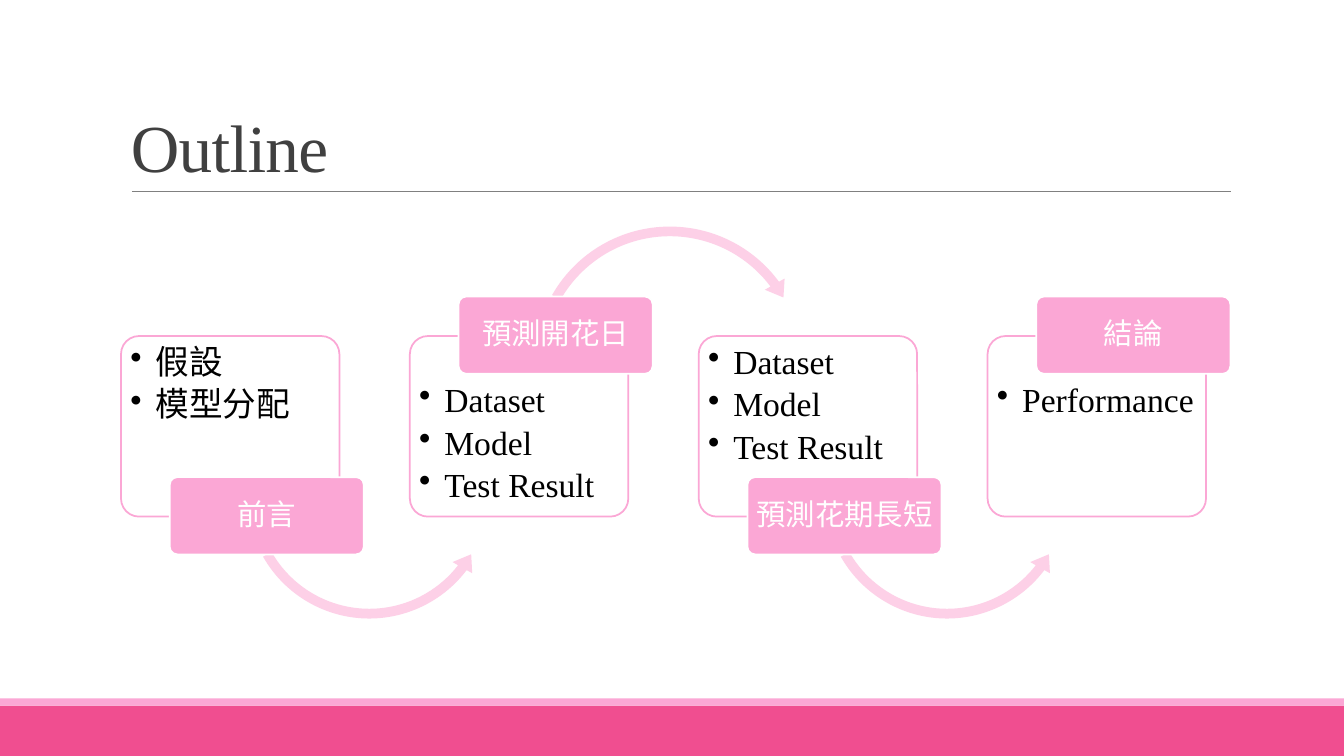
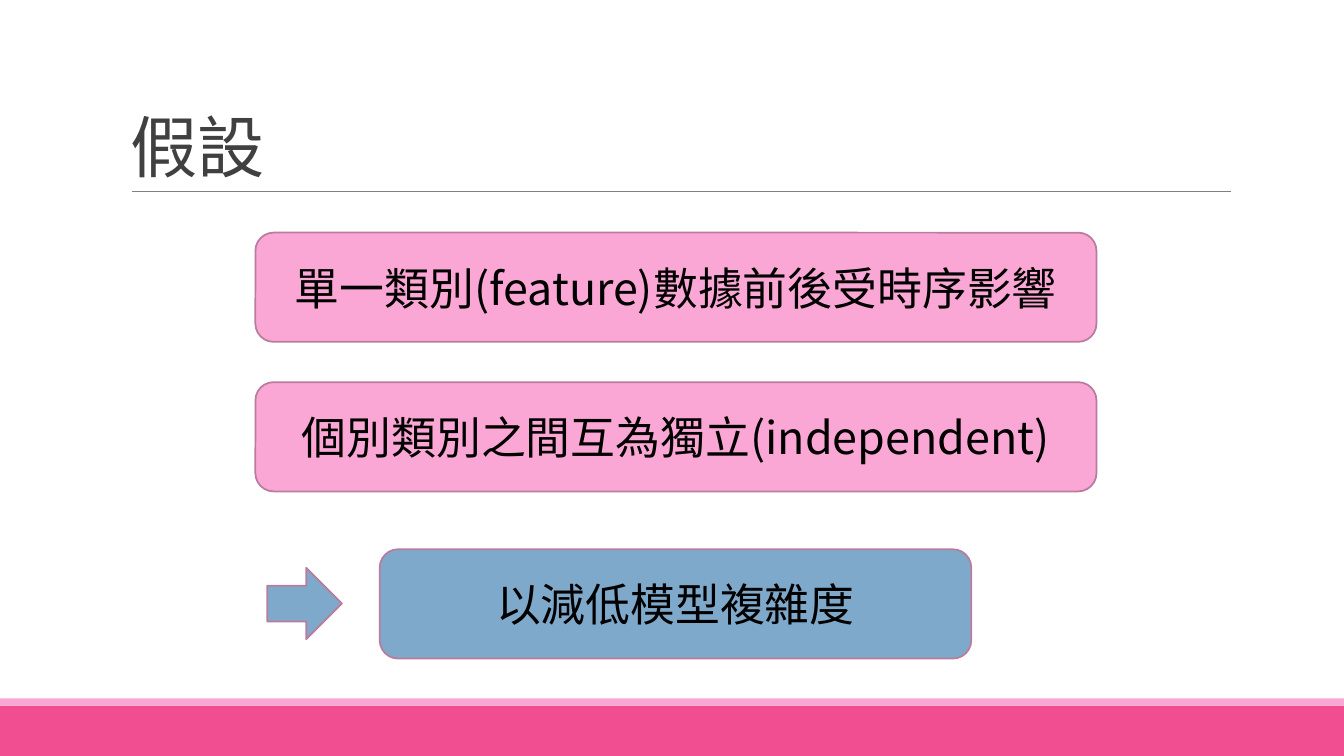
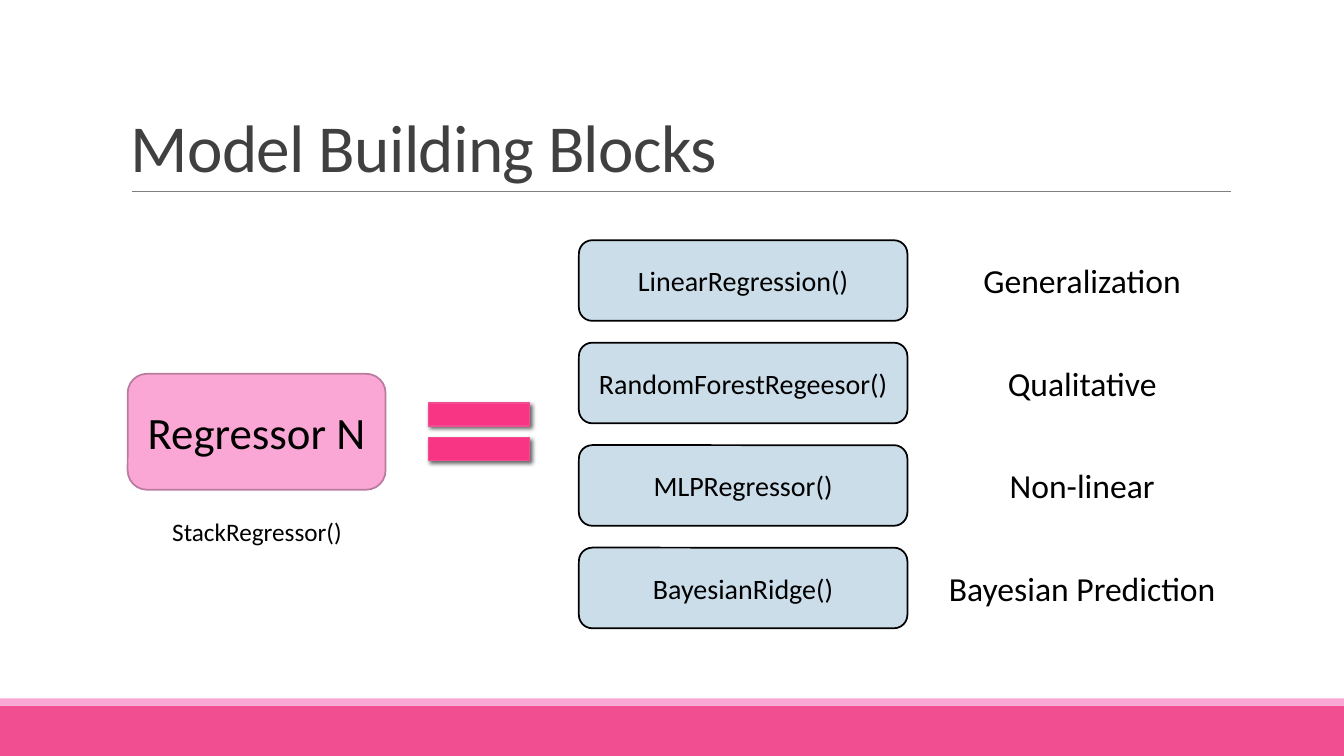
from dataclasses import dataclass

from lxml.etree import SubElement
from pptx import Presentation
from pptx.dml.color import RGBColor
from pptx.enum.shapes import MSO_CONNECTOR, MSO_SHAPE
from pptx.enum.text import MSO_ANCHOR, PP_ALIGN
from pptx.oxml.ns import qn
from pptx.util import Inches, Pt

# Slide grid: 160 columns by 90 rows of square cells
SLIDE_WIDTH, SLIDE_HEIGHT = Inches(13.33), Inches(7.5)
CELL = SLIDE_HEIGHT / 90

WHITE = RGBColor(0xFF, 0xFF, 0xFF)
BLACK = RGBColor(0x00, 0x00, 0x00)
TITLE_GREY = RGBColor(0x40, 0x40, 0x40)
RULE_GREY = RGBColor(0x80, 0x80, 0x80)
DEEP_PINK = RGBColor(0xF0, 0x4E, 0x90)
HOT_PINK = RGBColor(0xF8, 0x35, 0x84)
PINK = RGBColor(0xFB, 0xA7, 0xD5)
PALE_PINK = RGBColor(0xFD, 0xD0, 0xE7)
MAUVE = RGBColor(0xBA, 0x7C, 0x9E)
BLUE = RGBColor(0x7E, 0xA9, 0xCA)
PALE_BLUE = RGBColor(0xCC, 0xDD, 0xEA)

SERIF, SANS, CJK = "Times New Roman", "Calibri", "Noto Sans CJK SC"


@dataclass
class Box:
    """A region measured in grid cells."""
    left: float
    top: float
    width: float
    height: float

    def inner(self, left, top, width, height):
        return Box(self.left + left, self.top + top, width, height)

    def lengths(self):
        return [round(cells * CELL) for cells in
                (self.left, self.top, self.width, self.height)]


PAGE = Box(0, 0, 160, 90)
BODY = Box(14.4, 26, 132, 54)


def write_text(frame, lines, font=SANS, size=24, color=BLACK, align=PP_ALIGN.CENTER,
               anchor=MSO_ANCHOR.MIDDLE, margins=(0.1, 0.05, 0.1, 0.05),
               line_spacing=1.0, space_after=0, bullet=None, tracking=0):
    frame.word_wrap = True
    frame.vertical_anchor = anchor
    (frame.margin_left, frame.margin_top,
     frame.margin_right, frame.margin_bottom) = map(Inches, margins)
    for index, line in enumerate(lines):
        para = frame.add_paragraph() if index else frame.paragraphs[0]
        para.alignment = align
        para.line_spacing = line_spacing
        para.space_after = Pt(space_after)
        if bullet:
            properties = para._p.get_or_add_pPr()
            properties.set("marL", str(Inches(0.25)))
            properties.set("indent", str(Inches(-0.25)))
            SubElement(properties, qn("a:buChar"), char=bullet)
        span = para.add_run()
        span.text = line
        span.font.size = Pt(size)
        span.font.color.rgb = color
        span.font.name = font
        properties = span._r.get_or_add_rPr()
        SubElement(properties, qn("a:ea"), typeface=CJK)
        if tracking:
            properties.set("spc", str(round(tracking * 100)))


def add_text(page, box, lines, **style):
    write_text(page.shapes.add_textbox(*box.lengths()).text_frame, lines, **style)


def add_block(page, kind, box, fill, line=None, lines=(), weight=1.25,
              adjustments=(), **style):
    shape = page.shapes.add_shape(kind, *box.lengths())
    shape.shadow.inherit = False
    shape.fill.solid()
    shape.fill.fore_color.rgb = fill
    if line is None:
        shape.line.fill.background()
    else:
        shape.line.color.rgb = line
        shape.line.width = Pt(weight)
    for index, value in enumerate(adjustments):
        shape.adjustments[index] = value
    if lines:
        write_text(shape.text_frame, lines, **style)
    return shape


def add_drop_shadow(shape):
    effects = shape._element.spPr.find(qn("a:effectLst"))
    shadow = SubElement(effects, qn("a:outerShdw"), blurRad=str(Pt(3)),
                        dist=str(Pt(2)), dir="2700000", rotWithShape="0")
    shade = SubElement(shadow, qn("a:srgbClr"), val=str(BLACK))
    SubElement(shade, qn("a:alpha"), val="60000")


def add_page(deck, title, font):
    """Page with the shared bands, rule and title."""
    page = deck.slides.add_slide(deck.slide_layouts[6])
    # Footer bands
    add_block(page, MSO_SHAPE.RECTANGLE, PAGE.inner(0, 84, 160, 6), DEEP_PINK)
    add_block(page, MSO_SHAPE.RECTANGLE, PAGE.inner(0, 83.15, 160, 0.85), PINK)
    # Rule under the title
    left, top, width, _ = PAGE.inner(15.7, 22.8, 130.8, 0).lengths()
    rule = page.shapes.add_connector(MSO_CONNECTOR.STRAIGHT, left, top, left + width, top)
    rule.line.color.rgb = RULE_GREY
    rule.line.width = Pt(0.5)
    SubElement(rule._element.spPr, qn("a:effectLst"))
    # Title
    add_text(page, PAGE.inner(14.4, 3.7, 132, 19.1), [title], font=font, size=48,
             color=TITLE_GREY, align=PP_ALIGN.LEFT, anchor=MSO_ANCHOR.BOTTOM,
             line_spacing=0.85, tracking=-0.5)
    return page


def add_stage(page, card, label, points, raised, has_next):
    """Card with bullets, its label (raised or lowered) and the arrow onwards."""
    add_block(page, MSO_SHAPE.ROUNDED_RECTANGLE, card, WHITE, PINK, points,
              adjustments=[0.1], font=SERIF, align=PP_ALIGN.LEFT, anchor=MSO_ANCHOR.TOP,
              margins=(0.04, 0.42 if raised else 0.04, 0.04, 0),
              line_spacing=0.9, space_after=4.5, bullet="•")
    if has_next and raised:
        add_block(page, MSO_SHAPE.CIRCULAR_ARROW, card.inner(14.05, -13.8, 33.8, 33.8),
                  PALE_PINK, adjustments=[0.034, 4.199, 194.046, 125.755, 0.04])
    elif has_next:
        add_block(page, MSO_SHAPE.LEFT_CIRCULAR_ARROW, card.inner(14.25, 3.8, 30.6, 30.6),
                  PALE_PINK, adjustments=[0.038, 4.697, 22.452, 90.245, 0.044])
    add_block(page, MSO_SHAPE.ROUNDED_RECTANGLE,
              card.inner(5.8, -4.7 if raised else 16.8, 23.1, 9.2), PINK, WHITE, [label],
              adjustments=[0.1], font=SERIF, size=21, color=WHITE,
              margins=(0.04, 0.03, 0.04, 0.03), line_spacing=0.9)


def add_outline(page, box):
    model_points = ["Dataset", "Model", "Test Result"]
    stages = [("前言", ["假設", "模型分配"]), ("預測開花日", model_points),
              ("預測花期長短", model_points), ("結論", ["Performance"])]
    for index, (label, points) in enumerate(stages):
        add_stage(page, box.inner(index * 34.38, 14, 26, 21.5), label, points,
                  raised=index % 2 == 1, has_next=index < len(stages) - 1)


def add_assumptions(page, box):
    style = dict(line=MAUVE, font=CJK, size=32)
    statements = ["單一類別(feature)數據前後受時序影響", "個別類別之間互為獨立(independent)"]
    for index, statement in enumerate(statements):
        add_block(page, MSO_SHAPE.ROUNDED_RECTANGLE,
                  box.inner(16, 1.7 + index * 17.8, 100.1, 13), PINK,
                  lines=[statement], **style)
    # Consequence
    add_block(page, MSO_SHAPE.ROUNDED_RECTANGLE, box.inner(30.8, 39.4, 70.4, 13), BLUE,
              lines=["以減低模型複雜度"], **style)
    add_block(page, MSO_SHAPE.RIGHT_ARROW, box.inner(17.4, 41.6, 8.9, 8.5), BLUE, MAUVE)


def add_building_blocks(page, box):
    # Stacked regressor
    add_block(page, MSO_SHAPE.ROUNDED_RECTANGLE, box.inner(0.8, 18.5, 30.7, 13.8),
              PINK, MAUVE, ["Regressor N"], size=32)
    add_text(page, box.inner(3.1, 34.85, 26.2, 4.8), ["StackRegressor()"], size=18)
    equals = add_block(page, MSO_SHAPE.MATH_EQUAL, box.inner(34.4, 19.6, 16.4, 11.6),
                       HOT_PINK, DEEP_PINK, weight=1)
    add_drop_shadow(equals)
    # Base models and what each one brings
    models = [("LinearRegression()", "Generalization"),
              ("RandomForestRegeesor()", "Qualitative"),
              ("MLPRegressor()", "Non-linear"),
              ("BayesianRidge()", "Bayesian Prediction")]
    for index, (model, strength) in enumerate(models):
        row = box.inner(54.5, 2.6 + index * 12.2, 79, 9.6)
        add_block(page, MSO_SHAPE.ROUNDED_RECTANGLE, row.inner(0, 0, 39.1, row.height),
                  PALE_BLUE, BLACK, [model], size=20)
        add_text(page, row.inner(40.9, 0, 38, row.height), [strength])


def main():
    deck = Presentation()
    deck.slide_width, deck.slide_height = SLIDE_WIDTH, SLIDE_HEIGHT
    for title, font, add_content in [("Outline", SERIF, add_outline),
                                     ("假設", CJK, add_assumptions),
                                     ("Model Building Blocks", SANS, add_building_blocks)]:
        add_content(add_page(deck, title, font), BODY)
    deck.save("out.pptx")


if __name__ == "__main__":
    main()
